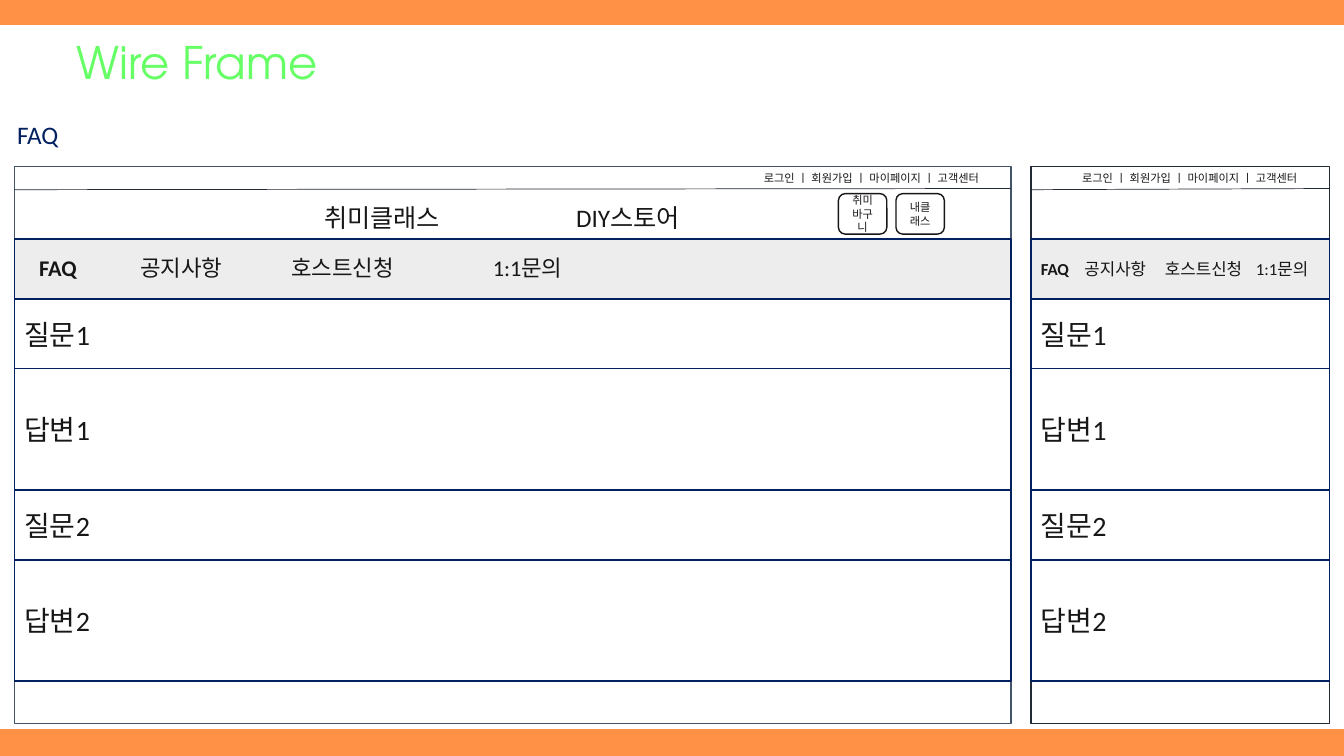
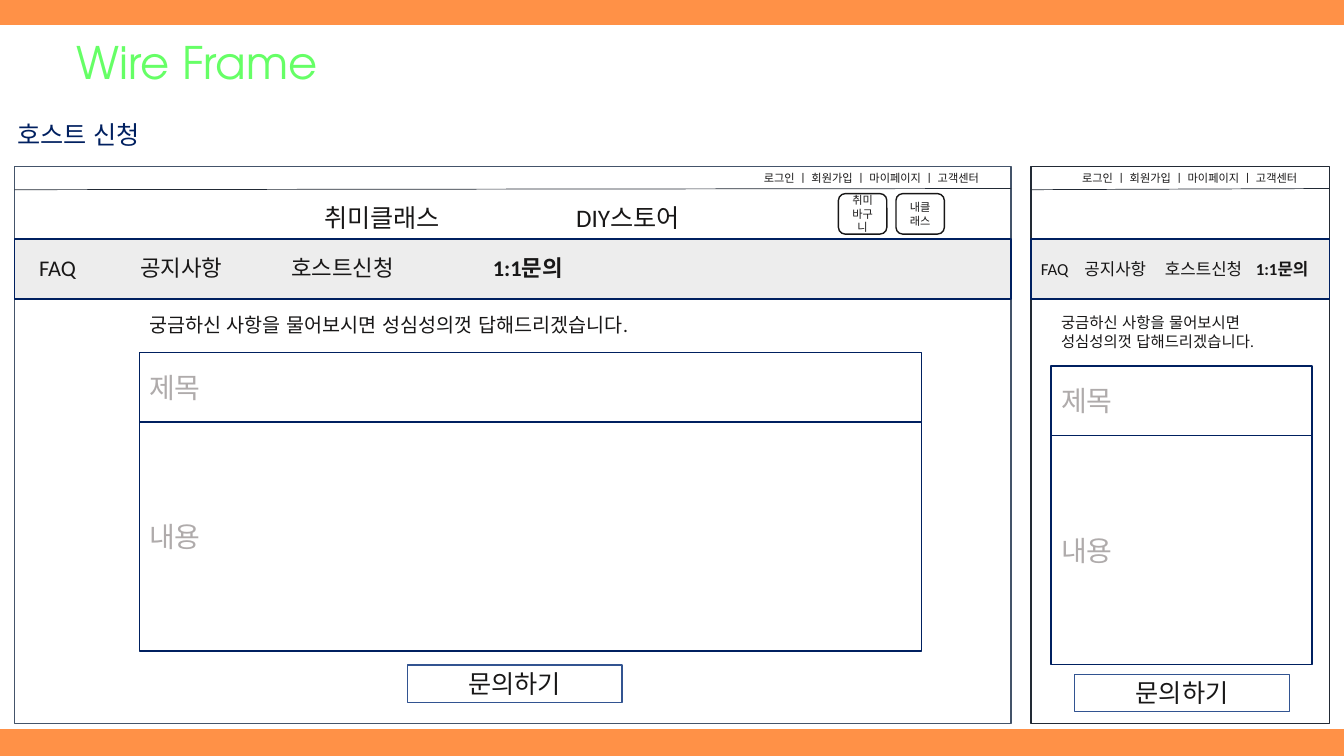
import dataclasses

import pptx
import pptx.dml.color
import pptx.enum.lang
import pptx.enum.shapes
import pptx.enum.text
import pptx.oxml
import pptx.oxml.ns
import pptx.util

Cm = pptx.util.Cm
SHAPES = pptx.enum.shapes.MSO_SHAPE
ALIGN = pptx.enum.text.PP_ALIGN
ANCHOR = pptx.enum.text.MSO_ANCHOR

COLOURS = {
    "band": "FF9147", "white": "FFFFFF", "title": "66FF66", "navy": "002060",
    "ink": "181717", "hint": "AFABAB", "bar": "EDEDED", "button": "325491",
    "slate": "44546A", "dark": "222A35",
}
BODY_FONT = "Calibri"
TITLE_FONT = "TeX Gyre Adventor"
MENU = ["FAQ", "공지사항", "호스트신청", "1:1문의"]
UTILITY = "로그인 ㅣ 회원가입 ㅣ 마이페이지 ㅣ 고객센터"
INTRO = "궁금하신 사항을 물어보시면 성심성의껏 답해드리겠습니다."


@dataclasses.dataclass
class Frame:
    """One wireframe screen: its box and the measures that depend on its width, in cm."""
    left: float
    width: float
    outline: str
    menu_size: int
    menu_left: float
    menu_drop: float
    menu_stops: tuple
    form_inset: float
    form_width: float
    intro_size: int
    field_top: float
    button_top: float
    top: float = 4.19
    height: float = 14.05


DESKTOP = Frame(0.36, 25.12, "slate", 16, 0.38, 0.25, (2.54, 6.35, 11.43),
                3.15, 19.71, 14, 4.7, 12.57)
MOBILE = Frame(25.98, 7.52, "dark", 12, 0, 0.38, (1.1, 3.13, 5.42),
               0.51, 6.58, 11, 5.03, 12.8)


def rgb(name):
    """Return the named colour."""
    return pptx.dml.color.RGBColor.from_string(COLOURS[name])


def format_span(span, size, colour, font=BODY_FONT, bold=False):
    """Format one run."""
    span.font.name = font
    span.font.size = pptx.util.Pt(size)
    span.font.bold = bold
    span.font.color.rgb = rgb(colour)
    span.font.language_id = pptx.enum.lang.MSO_LANGUAGE_ID.KOREAN


def set_tabs(para, stops):
    """Give a paragraph left tab stops."""
    tabs = pptx.oxml.parse_xml("<a:tabLst %s/>" % pptx.oxml.ns.nsdecls("a"))
    for stop in stops:
        tabs.append(pptx.oxml.parse_xml(
            '<a:tab %s pos="%d" algn="l"/>' % (pptx.oxml.ns.nsdecls("a"), Cm(stop))))
    para._p.get_or_add_pPr().append(tabs)


def add_label(page, left, top, width, height, parts, size, colour="ink",
              stops=(), bold_index=None):
    """Add a text box whose parts are separated by tab stops."""
    box = page.shapes.add_textbox(Cm(left), Cm(top), Cm(width), Cm(height))
    box.text_frame.word_wrap = True
    para = box.text_frame.paragraphs[0]
    if stops:
        set_tabs(para, stops)
    for index, part in enumerate(parts):
        span = para.add_run()
        span.text = part if index == 0 else "\t" + part
        format_span(span, size, colour, bold=index == bold_index)


def add_box(page, left, top, width, height, line, fill=None, text="", size=20,
            colour="ink", align=ALIGN.LEFT, kind=SHAPES.RECTANGLE):
    """Add an outlined shape, optionally filled and with text."""
    box = page.shapes.add_shape(kind, Cm(left), Cm(top), Cm(width), Cm(height))
    box.shadow.inherit = False
    box.line.color.rgb = rgb(line)
    box.line.width = pptx.util.Pt(1)
    if fill:
        box.fill.solid()
        box.fill.fore_color.rgb = rgb(fill)
    else:
        box.fill.background()
    if text:
        box.text_frame.text = text
        box.text_frame.vertical_anchor = ANCHOR.MIDDLE
        para = box.text_frame.paragraphs[0]
        para.alignment = align
        format_span(para.runs[0], size, colour)
    return box


def add_rule(page, left, top, width):
    """Add the thin rule under the utility links."""
    rule = page.shapes.add_connector(
        pptx.enum.shapes.MSO_CONNECTOR.STRAIGHT,
        Cm(left), Cm(top), Cm(left + width), Cm(top - 0.03))
    rule.line.color.rgb = rgb("dark")
    rule.line.width = pptx.util.Pt(0.5)
    rule.element.spPr.append(
        pptx.oxml.parse_xml("<a:effectLst %s/>" % pptx.oxml.ns.nsdecls("a")))


def add_page(deck, layout, heading):
    """Add a page with the white panel, the title and a heading."""
    page = deck.slides.add_slide(layout)
    title = page.shapes.title
    panel = add_box(page, 0, 0.66, 33.87, 17.7, "white", "white")
    title.element.addprevious(panel.element)
    title.left, title.top, title.width, title.height = Cm(1.68), Cm(0.74), Cm(7.04), Cm(1.63)
    title.text_frame.text = "Wire Frame"
    title.text_frame.vertical_anchor = ANCHOR.TOP
    para = title.text_frame.paragraphs[0]
    para.alignment = ALIGN.LEFT
    format_span(para.runs[0], 32, "title", TITLE_FONT)
    add_label(page, 0.18, 2.87, 24.66, 1.02, [heading], 18, "navy")
    return page


def add_screen(page, frame, active):
    """Draw a screen's outline, utility links and menu with one active entry."""
    add_box(page, frame.left, frame.top, frame.width, frame.height, frame.outline, "white")
    add_rule(page, frame.left, frame.top + 0.59, frame.width)
    add_label(page, frame.left + frame.width - 6.48, frame.top, 6.48, 0.61, [UTILITY], 8)
    bar_top = frame.top + 1.83
    add_box(page, frame.left, bar_top, frame.width, 1.52, "navy", "bar")
    add_label(page, frame.left + frame.menu_left, bar_top + frame.menu_drop,
              min(frame.width, 15.95), 0.85, MENU, frame.menu_size,
              stops=frame.menu_stops, bold_index=MENU.index(active))


def add_store_header(page, frame):
    """Draw the store links and shortcut buttons of the wide screen."""
    add_label(page, frame.left + 7.56, frame.top + 0.79, 13.41, 1.02,
              ["취미클래스", "DIY스토어"], 18, stops=(6.35,))
    for index, text in enumerate(["취미바구니", "내클래스"]):
        add_box(page, frame.left + 20.77 + 1.45 * index, frame.top + 0.69, 1.22, 1.02,
                "ink", text=text, size=8, align=ALIGN.CENTER,
                kind=SHAPES.ROUNDED_RECTANGLE)


def add_questions(page, frame):
    """Draw the question and answer rows."""
    for number in (1, 2):
        top = frame.top + 3.35 + 4.82 * (number - 1)
        add_box(page, frame.left, top, frame.width, 1.75, "navy", text=f"질문{number}")
        add_box(page, frame.left, top + 1.75, frame.width, 3.05, "navy", text=f"답변{number}")


def add_form(page, frame):
    """Draw the inquiry form with its introduction and button."""
    left = frame.left + frame.form_inset
    top = frame.top + frame.field_top
    add_label(page, left, frame.top + 3.58, frame.form_width, 0.86, [INTRO], frame.intro_size)
    add_box(page, left, top, frame.form_width, 1.75, "navy", text="제목", colour="hint")
    add_box(page, left, top + 1.75, frame.form_width, 5.77, "navy", text="내용", colour="hint")
    add_box(page, frame.left + (frame.width - 5.41) / 2 + 0.05, frame.top + frame.button_top,
            5.41, 0.94, "button", text="문의하기", size=18, align=ALIGN.CENTER)


def main():
    """Build and save the deck."""
    deck = pptx.Presentation()
    deck.slide_width, deck.slide_height = Cm(33.87), Cm(19.05)
    layout = deck.slide_layouts[5]
    layout.background.fill.solid()
    layout.background.fill.fore_color.rgb = rgb("band")
    pages = [("FAQ", "FAQ", add_questions), ("호스트 신청", "1:1문의", add_form)]
    for heading, active, add_content in pages:
        page = add_page(deck, layout, heading)
        for frame in (DESKTOP, MOBILE):
            add_screen(page, frame, active)
            add_content(page, frame)
        add_store_header(page, DESKTOP)
    deck.save("out.pptx")


if __name__ == "__main__":
    main()
